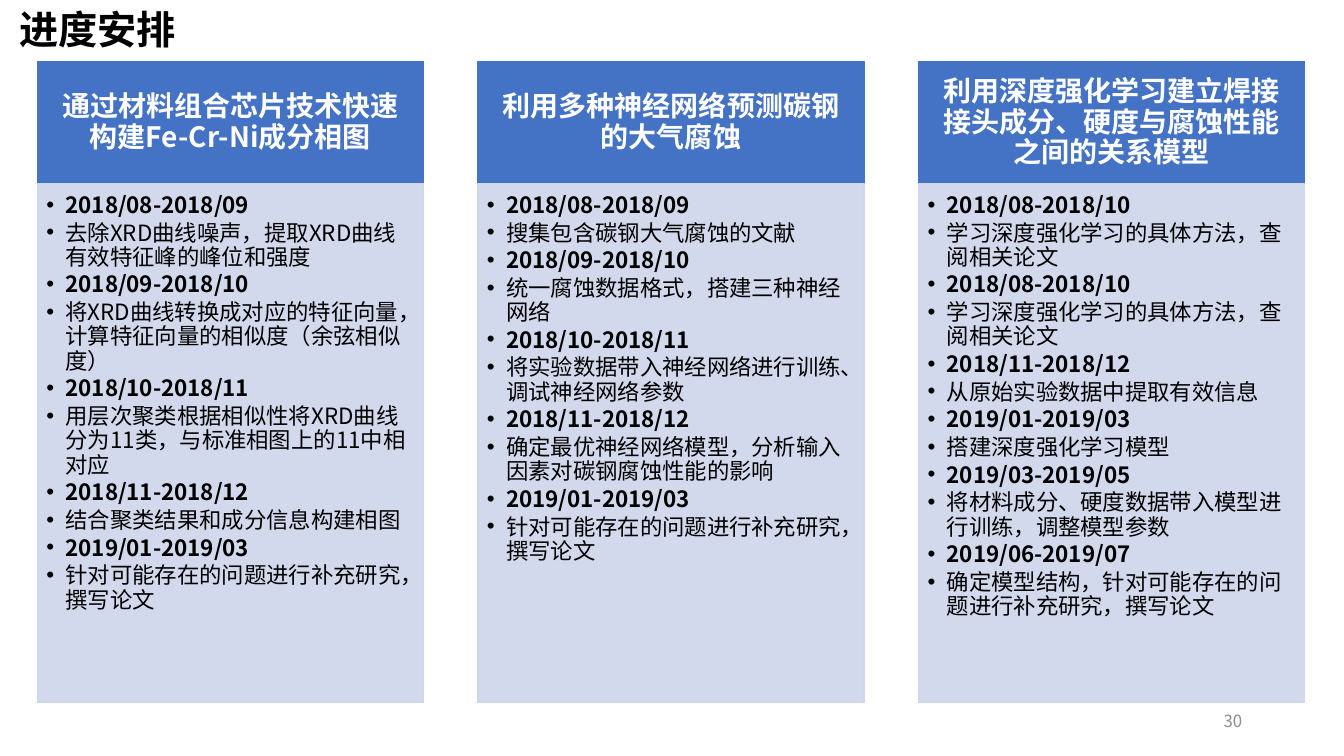
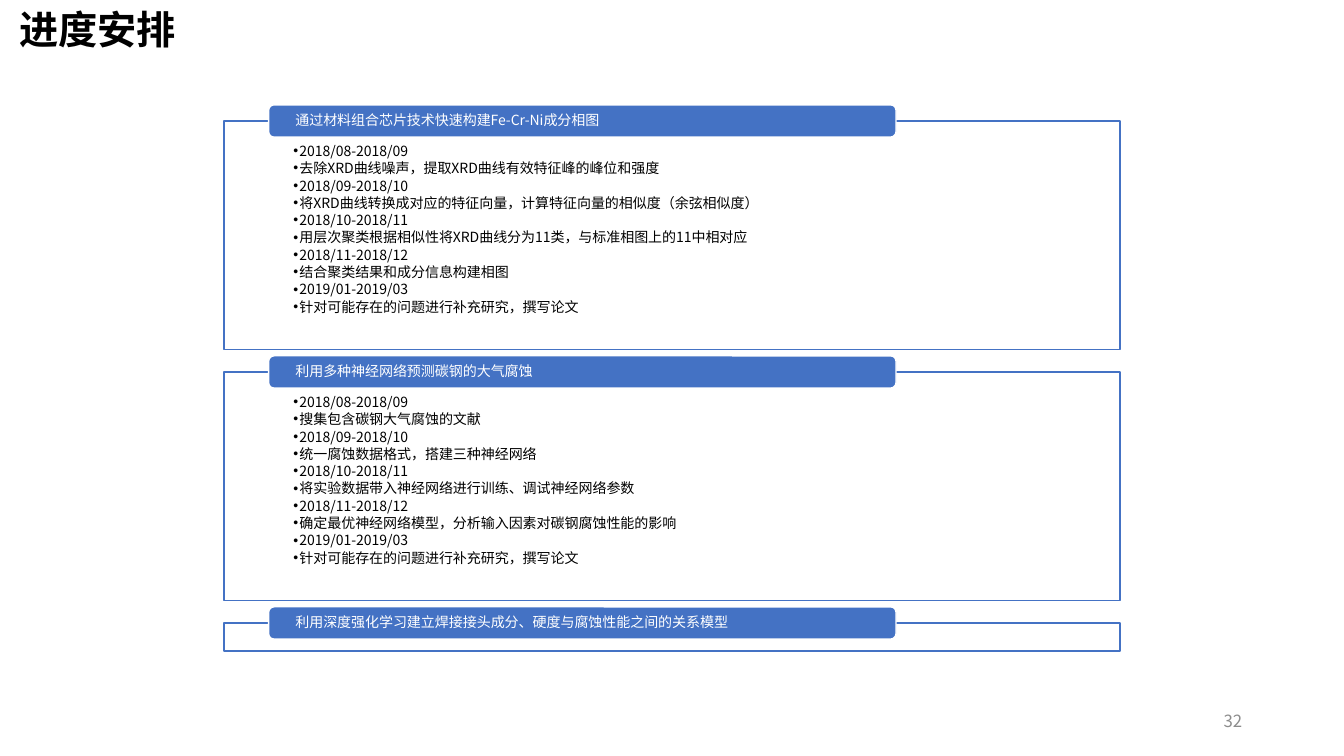
from lxml.etree import SubElement
from pptx import Presentation
from pptx.dml.color import RGBColor
from pptx.enum.shapes import MSO_SHAPE
from pptx.enum.text import MSO_ANCHOR, MSO_AUTO_SIZE, PP_ALIGN
from pptx.oxml.ns import qn
from pptx.util import Inches, Pt

FONT = "Noto Sans CJK SC"
COLORS = {
    "blue": "4472C4",
    "pale": "CFD5EA",
    "white": "FFFFFF",
    "black": "000000",
    "gray": "8C8C8C",
}
LINE_HEIGHT = 1.085  # share of the text size

WRITE_UP = "针对可能存在的问题进行补充研究，撰写论文"
LEARN = "学习深度强化学习的具体方法，查阅相关论文"
TOPICS = [
    ("通过材料组合芯片技术快速构建Fe-Cr-Ni成分相图", [
        ("2018/08-2018/09", "去除XRD曲线噪声，提取XRD曲线有效特征峰的峰位和强度"),
        ("2018/09-2018/10", "将XRD曲线转换成对应的特征向量，计算特征向量的相似度（余弦相似度）"),
        ("2018/10-2018/11", "用层次聚类根据相似性将XRD曲线分为11类，与标准相图上的11中相对应"),
        ("2018/11-2018/12", "结合聚类结果和成分信息构建相图"),
        ("2019/01-2019/03", WRITE_UP),
    ]),
    ("利用多种神经网络预测碳钢的大气腐蚀", [
        ("2018/08-2018/09", "搜集包含碳钢大气腐蚀的文献"),
        ("2018/09-2018/10", "统一腐蚀数据格式，搭建三种神经网络"),
        ("2018/10-2018/11", "将实验数据带入神经网络进行训练、调试神经网络参数"),
        ("2018/11-2018/12", "确定最优神经网络模型，分析输入因素对碳钢腐蚀性能的影响"),
        ("2019/01-2019/03", WRITE_UP),
    ]),
    ("利用深度强化学习建立焊接接头成分、硬度与腐蚀性能之间的关系模型", [
        ("2018/08-2018/10", LEARN),
        ("2018/08-2018/10", LEARN),
        ("2018/11-2018/12", "从原始实验数据中提取有效信息"),
        ("2019/01-2019/03", "搭建深度强化学习模型"),
        ("2019/03-2019/05", "将材料成分、硬度数据带入模型进行训练，调整模型参数"),
        ("2019/06-2019/07", "确定模型结构，针对可能存在的问题进行补充研究，撰写论文"),
    ]),
]


def write(shape, lines, size, color, insets, bold=(False,), align=PP_ALIGN.LEFT,
          anchor=MSO_ANCHOR.MIDDLE, indent=None, tight=True):
    """Fill a shape with one paragraph per line; bold cycles, indent adds bullets."""
    frame = shape.text_frame
    frame.word_wrap = True
    frame.vertical_anchor = anchor
    (frame.margin_left, frame.margin_top,
     frame.margin_right, frame.margin_bottom) = map(Inches, insets)
    frame.text = "\n".join(lines)
    for index, para in enumerate(frame.paragraphs):
        para.alignment = align
        if tight:
            para.line_spacing = Pt(size * LINE_HEIGHT)
        if indent:
            para.space_after = Pt(size * 0.15)
            properties = para._p.get_or_add_pPr()
            properties.set("marL", str(Inches(indent)))
            properties.set("indent", str(-Inches(indent)))
            SubElement(properties, qn("a:buFont"), typeface="Arial")
            SubElement(properties, qn("a:buChar"), char="•")
        for span in para.runs:
            span.font.size = Pt(size)
            span.font.name = FONT
            span.font.bold = bold[index % len(bold)]
            span.font.color.rgb = RGBColor.from_string(COLORS[color])
            SubElement(span._r.rPr, qn("a:ea"), typeface=FONT)


def add_box(page, kind, place, fill, line, opacity=100):
    box = page.shapes.add_shape(kind, *map(Inches, place))
    box.shadow.inherit = False
    box.fill.solid()
    box.fill.fore_color.rgb = RGBColor.from_string(COLORS[fill])
    box.line.color.rgb = RGBColor.from_string(COLORS[line])
    box.line.width = Pt(1)
    if opacity < 100:
        color = box.fill._xPr.find(qn("a:solidFill"))[0]
        SubElement(color, qn("a:alpha"), val=str(opacity * 1000))
    return box


deck = Presentation()
deck.slide_width, deck.slide_height = Inches(13.33), Inches(7.5)

# Title and page number on both slides
pages = []
for number in ("30", "32"):
    page = deck.slides.add_slide(deck.slide_layouts[5])
    title = page.shapes.title
    title.left, title.top, title.width, title.height = map(Inches, (0.09, 0, 1.77, 0.57))
    write(title, ["进度安排"], 28, "black", (0.1, 0.05, 0.1, 0.05), bold=(True,), tight=False)
    title.text_frame.word_wrap = False
    title.text_frame.auto_size = MSO_AUTO_SIZE.NONE
    number_box = page.shapes.add_textbox(*map(Inches, (9.42, 6.95, 3, 0.4)))
    write(number_box, [number], 12, "gray", (0.1, 0.05, 0.1, 0.05),
          align=PP_ALIGN.RIGHT, tight=False)
    pages.append(page)
columns_page, frames_page = pages

# Three columns, each a heading over its schedule
column_width, column_step = 3.83, 4.37
heading_top, heading_height, schedule_height = 0.61, 1.21, 5.15
for column, (topic, schedule) in enumerate(TOPICS):
    left = 0.37 + column * column_step
    heading = add_box(columns_page, MSO_SHAPE.RECTANGLE,
                      (left, heading_top, column_width, heading_height), "blue", "blue")
    write(heading, [topic], 20, "white", (0.16, 0.09, 0.16, 0.09),
          bold=(True,), align=PP_ALIGN.CENTER)
    panel = add_box(columns_page, MSO_SHAPE.RECTANGLE,
                    (left, heading_top + heading_height, column_width, schedule_height),
                    "pale", "pale", opacity=90)
    write(panel, [text for step in schedule for text in step], 16, "black",
          (0.09, 0.1, 0.12, 0.14), bold=(True, False), anchor=MSO_ANCHOR.TOP, indent=0.19)

# Three stacked frames with a tab on the top edge; the last one stays closed
frame_left, frame_width, frame_gap = 2.22, 8.89, 0.22
tab_height = 0.32
frame_top = 1.2
for (topic, schedule), frame_height in zip(TOPICS, (2.27, 2.27, 0.28)):
    outline = add_box(frames_page, MSO_SHAPE.RECTANGLE,
                      (frame_left, frame_top, frame_width, frame_height),
                      "white", "blue", opacity=90)
    if frame_height > 1:
        write(outline, [text for step in schedule for text in step], 10, "black",
              (0.69, 0.23, 0.69, 0.08), anchor=MSO_ANCHOR.TOP, indent=0.06)
    tab = add_box(frames_page, MSO_SHAPE.ROUNDED_RECTANGLE,
                  (frame_left + frame_width * 0.05, frame_top - tab_height / 2,
                   frame_width * 0.7, tab_height), "blue", "white")
    write(tab, [topic], 10, "white", (0.25, 0, 0.25, 0))
    frame_top += frame_height + frame_gap

deck.save("out.pptx")
